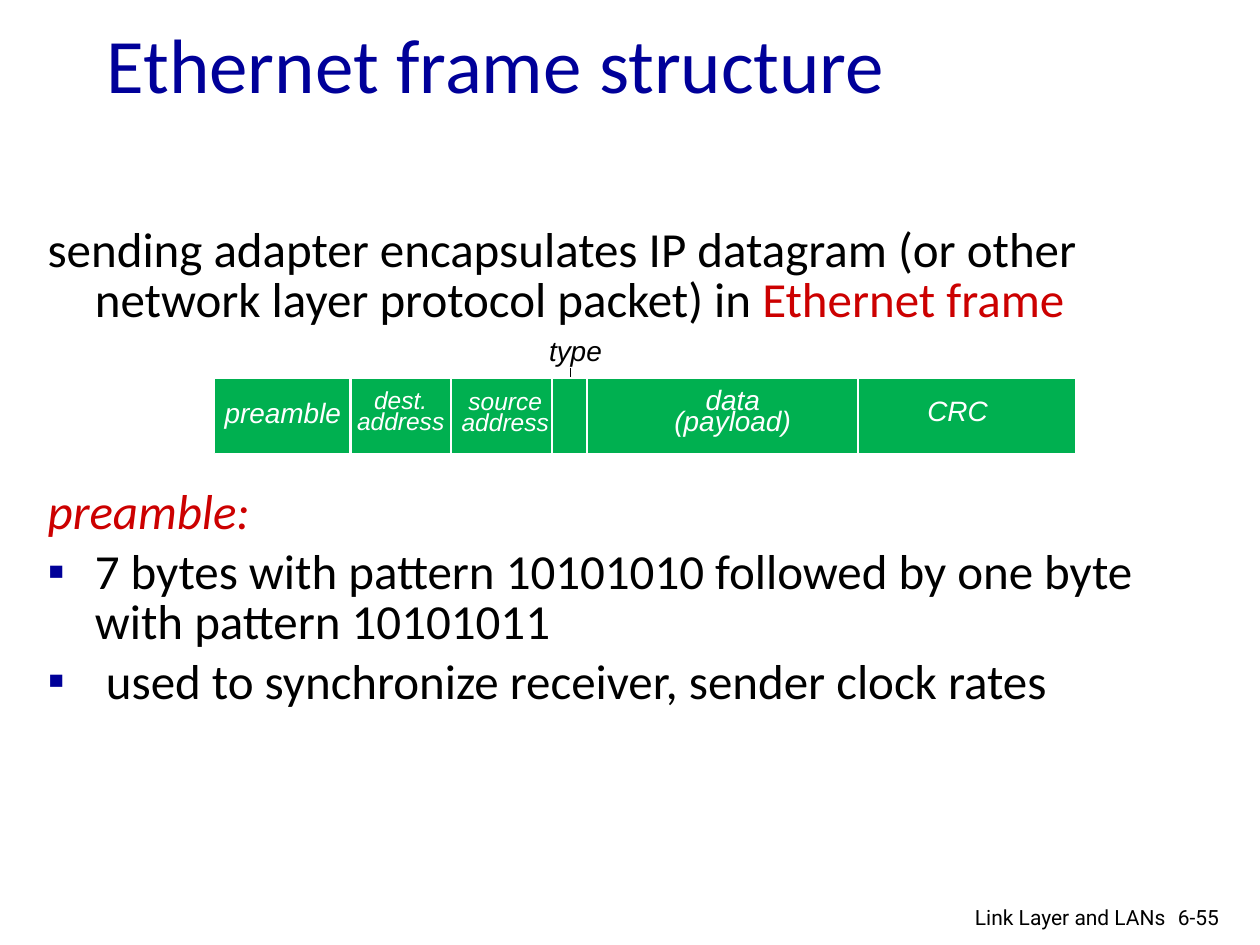
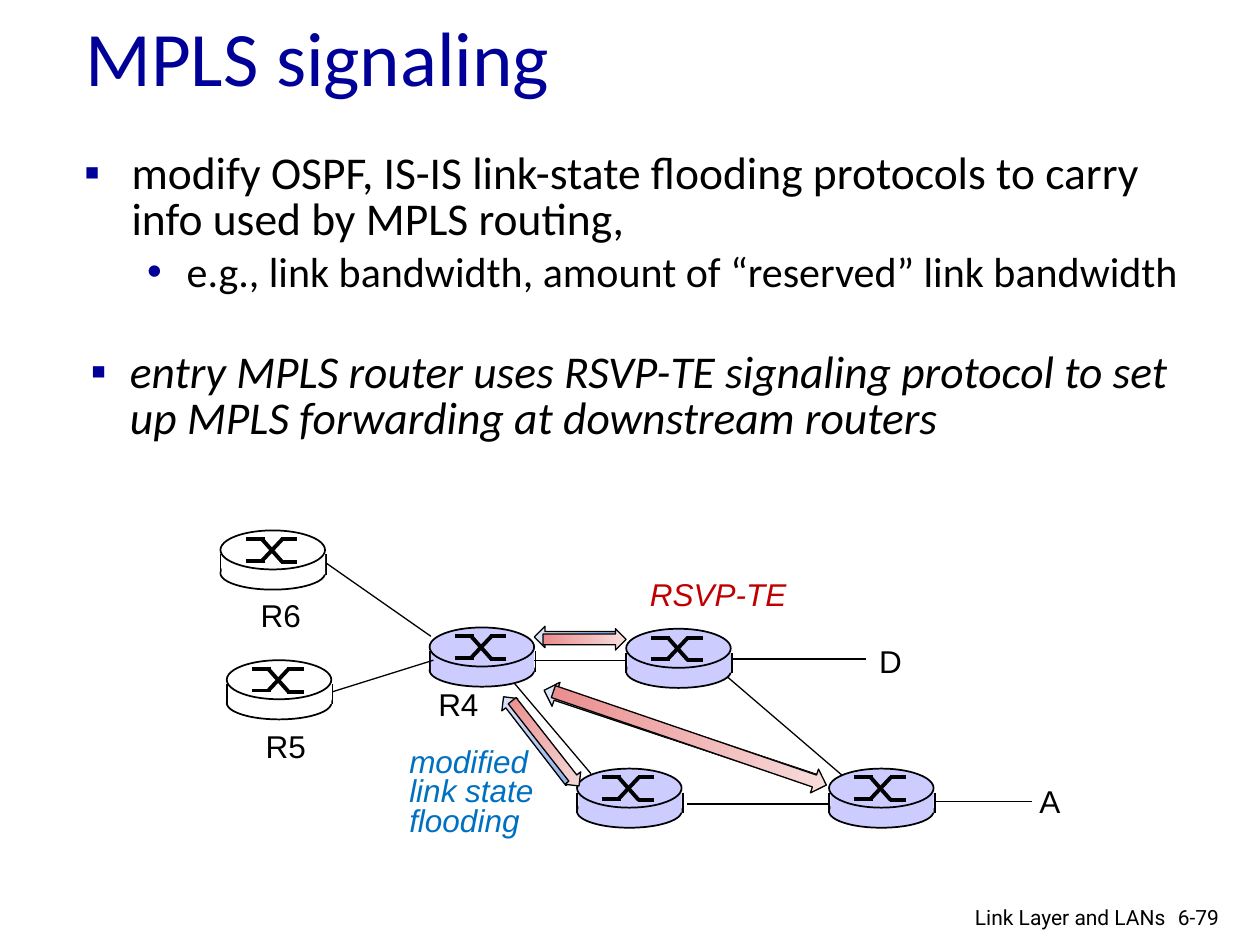
from lxml import etree
from pptx import Presentation
from pptx import util as u
from pptx.dml.color import RGBColor
from pptx.enum import shapes, text
from pptx.oxml import ns

# Theme: colours, type styles, and a grid of 100 columns by 75 rows
THEME = {
    "navy": "000099", "black": "000000", "white": "FFFFFF", "red": "CC0000",
    "dark red": "C00000", "blue": "0070C0", "green": "00B050", "lilac": "CCCCFF",
    "blue fade": ("8CADEA", "DEE6F7"), "red fade": ("EA8C8C", "F7DEDE"),
}
CELL = u.Inches(0.1)
CENTER, RIGHT = text.PP_ALIGN.CENTER, text.PP_ALIGN.RIGHT
MIDDLE = text.MSO_ANCHOR.MIDDLE

BODY = {"line_spacing": 0.85}
TIGHT = {"line_spacing": u.Pt(12), "alignment": CENTER}
LOOSE = {"line_spacing": u.Pt(17)}

# Style: font, size, colour, italic, paragraph format, (margin, indent, bullet)
STYLES = {
    "title": ("Calibri", 44, "navy", False, {}, None),
    "lead": ("Calibri", 28, "black", False, BODY, (3.75, -3.75, None)),
    "topic": ("Calibri", 28, "red", True, {**BODY, "space_before": u.Pt(92.5)},
              (3.75, -3.75, None)),
    "point": ("Calibri", 28, "black", False, BODY, (3.75, -3.75, "▪")),
    "protocol": ("Calibri", 26, "black", False, BODY, (3.75, -3.75, "▪")),
    "example": ("Calibri", 24, "black", False, {**BODY, "level": 1}, (8.13, -3.13, "•")),
    "entry": ("Calibri", 26, "black", True, BODY, (3.13, -3.13, "▪")),
    "address": ("Arial", 14, "white", True, TIGHT, None),
    "field": ("Arial", 16, "white", True, TIGHT, None),
    "type": ("Arial", 16, "black", True, {}, None),
    "node": ("Arial", 18, "black", False, {}, None),
    "flooding": ("Arial", 18, "blue", True, LOOSE, None),
    "signaling": ("Arial", 18, "dark red", True, LOOSE, None),
    "number": ("Roboto", 12, "black", False, {}, None),
    "footer": ("Roboto", 12, "black", False, {"alignment": RIGHT}, None),
}


def add_text(slide, box, paragraphs, wrap=True, anchor=text.MSO_ANCHOR.TOP):
    """Each paragraph is (style, run, ...); a run is text or (text, colour)."""
    frame = slide.shapes.add_textbox(*[round(v * CELL) for v in box]).text_frame
    frame.word_wrap, frame.vertical_anchor = wrap, anchor
    for index, (style, *runs) in enumerate(paragraphs):
        name, size, colour, italic, layout, indent = STYLES[style]
        paragraph = frame.add_paragraph() if index else frame.paragraphs[0]
        if indent:
            paragraph.space_before = u.Pt(size * 0.2)
        for key, value in layout.items():
            setattr(paragraph, key, value)
        for item in runs:
            words, shade = (item, colour) if isinstance(item, str) else item
            run = paragraph.add_run()
            run.text = words
            formats = {"name": name, "size": u.Pt(size), "italic": italic}
            for key, value in formats.items():
                setattr(run.font, key, value)
            run.font.color.rgb = RGBColor.from_string(THEME[shade])
        if indent:
            margin, first, bullet = indent
            properties = paragraph._p.get_or_add_pPr()
            properties.set("marL", str(round(margin * CELL)))
            properties.set("indent", str(round(first * CELL)))
            if bullet:
                tint = etree.SubElement(properties, ns.qn("a:buClr"))
                etree.SubElement(tint, ns.qn("a:srgbClr"), val=THEME["navy"])
                etree.SubElement(properties, ns.qn("a:buFont"), typeface="Arial")
                etree.SubElement(properties, ns.qn("a:buChar"), char=bullet)


def draw(slide, kind, box, fill=None, line="black", width=0.75, rotation=0):
    """Box is left, top, width, height; for a line (no kind) it is both ends."""
    box = [round(v * CELL) for v in box]
    if kind is None:
        shape = slide.shapes.add_connector(shapes.MSO_CONNECTOR.STRAIGHT, *box)
        etree.SubElement(shape._element.spPr, ns.qn("a:effectLst"))
    else:
        shape = slide.shapes.add_shape(kind, *box)
        shape.shadow.inherit = False
        shape.rotation = rotation
        if isinstance(THEME[fill], tuple):
            shape.fill.gradient()
            shape.fill.gradient_angle = 0
            for stop, colour in zip(shape.fill.gradient_stops, THEME[fill]):
                stop.color.rgb = RGBColor.from_string(colour)
        else:
            shape.fill.solid()
            shape.fill.fore_color.rgb = RGBColor.from_string(THEME[fill])
    if line:
        shape.line.color.rgb = RGBColor.from_string(THEME[line])
        shape.line.width = u.Pt(width)
    else:
        shape.line.fill.background()


RECTANGLE = shapes.MSO_SHAPE.RECTANGLE
OVAL = shapes.MSO_SHAPE.OVAL
ARROW = shapes.MSO_SHAPE.RIGHT_ARROW

presentation = Presentation()
presentation.slide_width, presentation.slide_height = 100 * CELL, 75 * CELL

# Titles and footers of both slides
slides = []
for title, title_box, number in [
    ("Ethernet frame structure", (7.5, 3.8, 85, 2.4), "6-55"),
    ("MPLS signaling", (5.8, 2.5, 85, 3.9), "6-79"),
]:
    slide = presentation.slides.add_slide(presentation.slide_layouts[6])
    add_text(slide, title_box, [("title", title)], anchor=MIDDLE)
    add_text(slide, (92.5, 71.3, 6, 3), [("number", number)])
    add_text(slide, (69.7, 71.3, 23.8, 2.6), [("footer", "Link Layer and LANs")])
    slides.append(slide)
frame_slide, signaling_slide = slides

# Slide 1: body
add_text(frame_slide, (2.8, 17.6, 95.3, 47.5), [
    ("lead", "sending adapter encapsulates IP datagram (or other network layer "
     "protocol packet) in ", ("Ethernet frame", "red")),
    ("topic", "preamble:"),
    ("point", "7 bytes with pattern 10101010 followed by one byte with pattern 10101011"),
    ("point", " used to synchronize receiver, sender clock rates"),
])

# Slide 1: Ethernet frame with its dividers and field names
draw(frame_slide, None, (45.3, 29.2, 45.3, 31.4))
draw(frame_slide, RECTANGLE, (17, 30, 68.4, 6), "green", "white")
for column in (27.8, 35.8, 43.8, 46.6, 68.1):
    draw(frame_slide, None, (column, 30, column, 36), line="white", width=1.5)
for box, style, *lines in [
    ((27.2, 30.7, 9.2, 4.5), "address", "dest.", "address"),
    ((35.5, 30.8, 9.2, 4.5), "address", "source", "address"),
    ((50.6, 30.9, 15.1, 4.5), "field", "data (payload)"),
    ((71.3, 31.7, 9.4, 2.9), "field", "CRC"),
    ((16.6, 31.9, 11.7, 2.9), "field", "preamble"),
    ((42.6, 26, 8.4, 3.7), "type", "type"),
]:
    add_text(frame_slide, box, [(style, words) for words in lines])

# Slide 2: body
add_text(signaling_slide, (5.7, 11.6, 91.2, 14.8), [
    ("protocol", "modify OSPF, IS-IS link-state flooding protocols to carry info "
     "used by MPLS routing,"),
    ("example", "e.g., link bandwidth, amount of “reserved” link bandwidth"),
])
add_text(signaling_slide, (6.2, 27.4, 91.2, 11.6), [
    ("entry", "entry MPLS router uses RSVP-TE signaling protocol to set up MPLS "
     "forwarding at downstream routers"),
])

# Slide 2: routers, each a drum with a crossed switch on its lid
SWITCH = [(2, 0.7, 3.5, 0.7), (3.3, 0.7, 4.9, 2.5), (4.8, 2.5, 6.1, 2.5),
          (2, 2.4, 3.5, 2.4), (3.3, 2.4, 4.9, 0.7), (4.8, 0.7, 6.1, 0.7)]
for left, top, fill in [
    (65.8, 61, "lilac"), (45.8, 61, "lilac"), (49.7, 49.9, "lilac"),
    (34.1, 49.8, "lilac"), (17.5, 42.1, "white"), (18, 52.4, "white"),
]:
    draw(signaling_slide, OVAL, (left, top + 2.1, 8.3, 2.6), fill, width=1)
    for side in (left, left + 8.4):
        draw(signaling_slide, None, (side, top + 1.9, side, top + 3.5), width=1)
    draw(signaling_slide, RECTANGLE, (left + 0.1, top + 1.9, 8.2, 1.6), fill, None)
    draw(signaling_slide, OVAL, (left, top, 8.3, 3.1), fill, width=1)
    for x1, y1, x2, y2 in SWITCH:
        draw(signaling_slide, None, (left + x1, top + y1, left + x2, top + y2), width=2.25)

# Slide 2: links
for ends in [
    (25.9, 44.7, 34.2, 50.5), (26.4, 54.9, 34.4, 52.4), (42.4, 52.4, 49.7, 52.4),
    (40.8, 54.2, 46.9, 61.4), (54.5, 63.8, 65.9, 63.8), (57.7, 53.7, 66.8, 61.5),
    (74.2, 63.6, 81.9, 63.6), (58.1, 52.3, 68.7, 52.3),
]:
    draw(signaling_slide, None, ends)

# Slide 2: node names
for name, left, top in [
    ("D", 68.8, 50.5), ("R4", 33.8, 53.9), ("R5", 20.1, 57.2),
    ("A", 81.5, 61.6), ("R6", 19.7, 46.8),
]:
    add_text(signaling_slide, (left, top, 2.5 + 1.35 * len(name), 4),
             [("node", name)], wrap=False)

# Slide 2: flooding arrows, then signaling arrows the opposite way
for fill, arrows in [
    ("blue fade", [(42.4, 49.7, 6.6, 1.7, 180), (38.3, 57.9, 8.6, 1.6, 232.3),
                   (42.6, 57.4, 22.9, 2, 198.4)]),
    ("red fade", [(43.1, 49.9, 6.6, 1.7, 0), (39, 58.2, 8.6, 1.6, 51.9),
                  (43.3, 57.6, 22.9, 2, 18.9)]),
]:
    for *box, angle in arrows:
        draw(signaling_slide, ARROW, box, fill, rotation=angle)
add_text(signaling_slide, (31.5, 59, 12.7, 8.2),
         [("flooding", words) for words in ("modified", "link state", "flooding")], wrap=False)
add_text(signaling_slide, (50.6, 45.8, 13, 3.4), [("signaling", "RSVP-TE")], wrap=False)

presentation.save("out.pptx")
